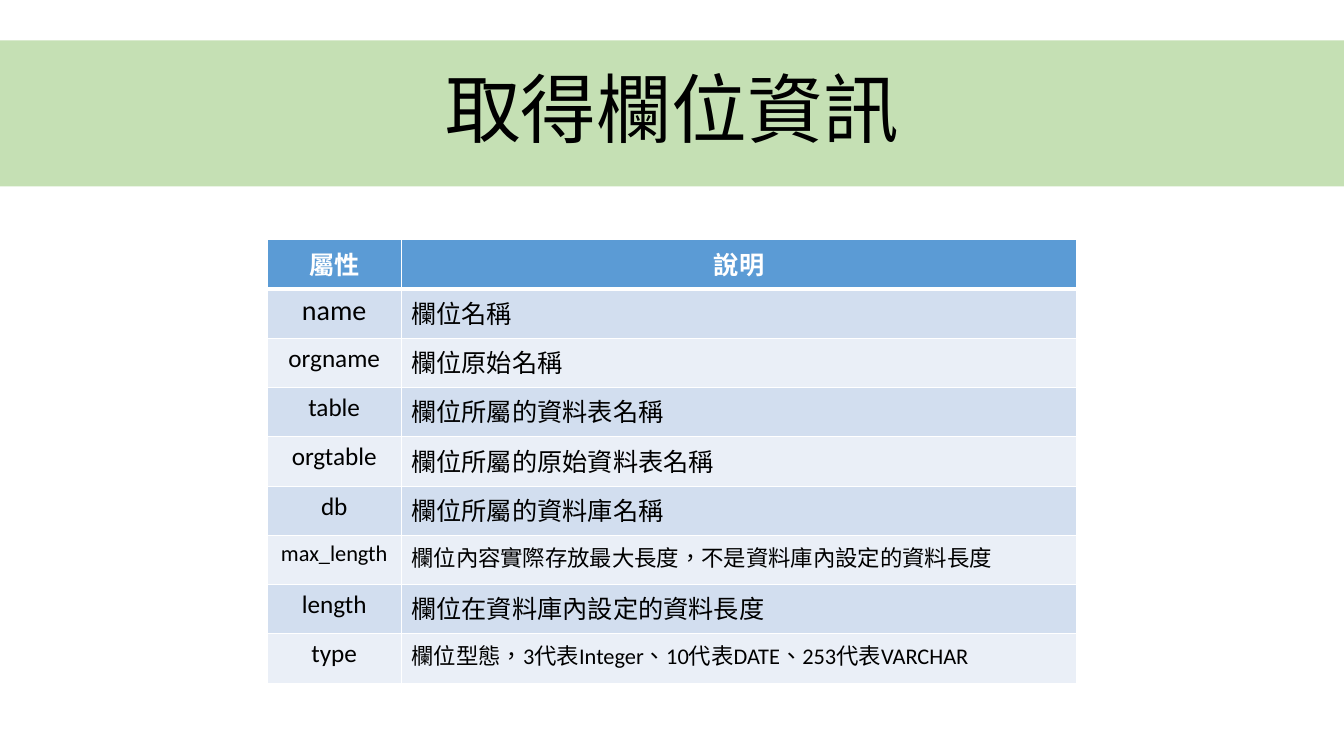
from lxml import etree
from pptx import Presentation
from pptx import util as u
from pptx.dml.color import RGBColor
from pptx.enum import lang, shapes, text
from pptx.oxml import ns

COLORS = {
    "banner": "C5E0B4",
    "header": "5B9BD5",
    "odd": "D2DEEF",
    "even": "EAEFF7",
    "ink": "000000",
    "white": "FFFFFF",
}
LATIN, CJK = "Calibri", "Noto Sans CJK SC"
FIELDS = [
    ("屬性", 18, "說明", 18),
    ("name", 20, "欄位名稱", 18),
    ("orgname", 18, "欄位原始名稱", 18),
    ("table", 18, "欄位所屬的資料表名稱", 18),
    ("orgtable", 18, "欄位所屬的原始資料表名稱", 18),
    ("db", 18, "欄位所屬的資料庫名稱", 18),
    ("max_length", 16, "欄位內容實際存放最大長度，不是資料庫內設定的資料長度", 16),
    ("length", 18, "欄位在資料庫內設定的資料長度", 18),
    ("type", 18, "欄位型態，3代表Integer、10代表DATE、253代表VARCHAR", 16),
]


def paint(fill, color):
    """Give a fill one solid colour from the palette."""
    fill.solid()
    fill.fore_color.rgb = RGBColor.from_string(COLORS[color])


def write(frame, wording, color, align, **formats):
    """Write one formatted paragraph into a text frame."""
    paragraph = frame.paragraphs[0]
    paragraph.alignment = align
    run = paragraph.add_run()
    run.text = wording
    formats["language_id"] = lang.MSO_LANGUAGE_ID.TRADITIONAL_CHINESE
    for name, value in formats.items():
        setattr(run.font, name, value)
    run.font.color.rgb = RGBColor.from_string(COLORS[color])
    latin = run.font._element.find(ns.qn("a:latin"))
    east_asian = etree.Element(ns.qn("a:ea"), typeface=CJK)
    latin.addnext(east_asian)
    return paragraph


def add_borders(cell, top, bottom):
    """Draw white cell borders, with top and bottom widths in points."""
    properties = cell._tc.get_or_add_tcPr()
    widths = {"lnL": 1, "lnR": 1, "lnT": top, "lnB": bottom}
    for position, (side, width) in enumerate(widths.items()):
        line = etree.Element(ns.qn(f"a:{side}"), w=str(u.Pt(width)))
        solid = etree.SubElement(line, ns.qn("a:solidFill"))
        etree.SubElement(solid, ns.qn("a:srgbClr"), val=COLORS["white"])
        properties.insert(position, line)


def add_banner(slide, left, top, width, height):
    """Place the title banner in the given box."""
    banner = slide.shapes.add_shape(
        shapes.MSO_SHAPE.RECTANGLE, left, top, width, height)
    banner.shadow.inherit = False
    banner.line.fill.background()
    paint(banner.fill, "banner")
    banner.text_frame.word_wrap = True
    banner.text_frame.vertical_anchor = text.MSO_ANCHOR.MIDDLE
    title = write(banner.text_frame, "取得欄位資訊", "ink", text.PP_ALIGN.CENTER,
                  name=CJK, size=u.Pt(54))
    title.line_spacing = 0.9


def add_field_table(slide, left, top, width, height):
    """Place the table of field attributes in the given box."""
    fields = slide.shapes.add_table(len(FIELDS), 2, left, top, width, height).table
    attribute_width = u.Inches(1.33)
    fields.columns[0].width = attribute_width
    fields.columns[1].width = width - attribute_width
    for index, (attribute, attribute_size, meaning, meaning_size) in enumerate(FIELDS):
        is_header = index == 0
        band = "header" if is_header else ("even", "odd")[index % 2]
        entries = [(attribute, attribute_size), (meaning, meaning_size)]
        for column, (wording, size) in enumerate(entries):
            cell = fields.cell(index, column)
            paint(cell.fill, band)
            centred = is_header or column == 0
            write(cell.text_frame, wording, "white" if is_header else "ink",
                  text.PP_ALIGN.CENTER if centred else text.PP_ALIGN.LEFT,
                  name=LATIN, size=u.Pt(size), bold=is_header)
            add_borders(cell, 3 if index == 1 else 1, 3 if is_header else 1)


def main():
    """Build and save the slide."""
    deck = Presentation()
    deck.slide_width, deck.slide_height = u.Inches(13.33), u.Inches(7.5)
    slide = deck.slides.add_slide(deck.slide_layouts[6])
    add_banner(slide, 0, u.Inches(0.4), deck.slide_width, u.Inches(1.45))
    add_field_table(slide, u.Inches(2.65), u.Inches(2.38), u.Inches(8.03), u.Inches(4.4))
    deck.save("out.pptx")


if __name__ == "__main__":
    main()
